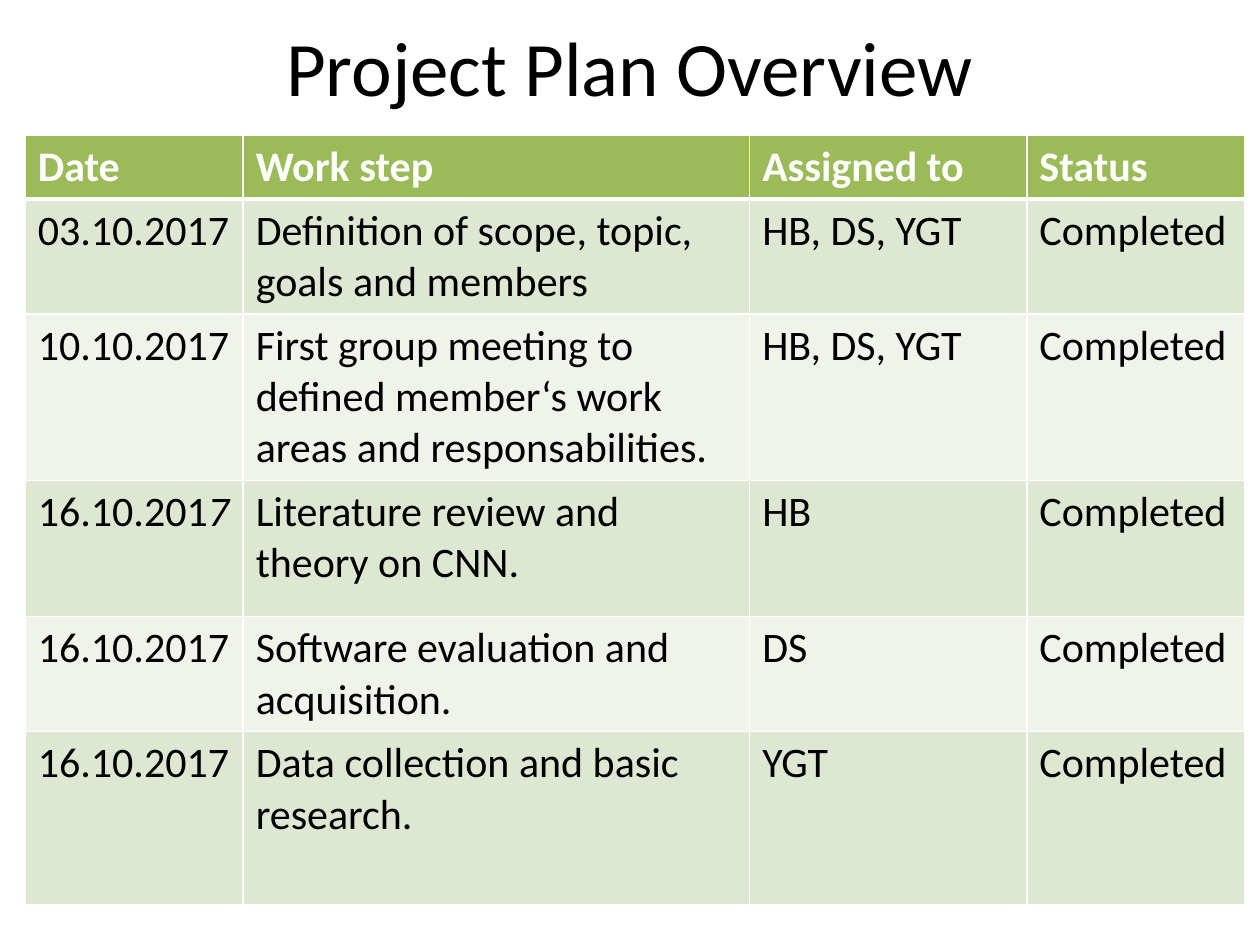
import pptx
import pptx.util
import pptx.dml.color
import pptx.enum.text
import pptx.oxml.ns
import lxml.etree

Pt = pptx.util.Pt
RGB = pptx.dml.color.RGBColor.from_string

THEME = {
    "font": "Calibri", "title_size": 44, "table_size": 24,
    "text": "000000", "white": "FFFFFF",
    "header": "9BBB59", "bands": ("DEE7D1", "EFF3EA"),
}


def add_text(p, text, size=THEME["table_size"], color=THEME["text"], bold=False, italic=False):
    r = p.add_run()
    r.text = text
    r.font.name = THEME["font"]
    r.font.size = Pt(size)
    r.font.bold = bold
    r.font.italic = italic
    r.font.color.rgb = RGB(color)


def set_border(cell, side, width):
    qn = pptx.oxml.ns.qn
    ln = lxml.etree.SubElement(cell._tc.get_or_add_tcPr(), qn(f"a:{side}"), w=str(Pt(width)))
    fill = lxml.etree.SubElement(ln, qn("a:solidFill"))
    lxml.etree.SubElement(fill, qn("a:srgbClr"), val=THEME["white"])


prs = pptx.Presentation()
prs.slide_width, prs.slide_height = Pt(720), Pt(540)
s = prs.slides.add_slide(prs.slide_layouts[5])

# Title
title = s.shapes.title
title.left, title.top, title.width, title.height = Pt(36), Pt(3.6), Pt(648), Pt(67.7)
tf = title.text_frame
tf.word_wrap = True
tf.vertical_anchor = pptx.enum.text.MSO_ANCHOR.MIDDLE
p = tf.paragraphs[0]
p.alignment = pptx.enum.text.PP_ALIGN.CENTER
add_text(p, "Project Plan Overview", size=THEME["title_size"])

# Plan: date, work step, assigned to, status
done = "Completed"
rows = [
    ("Date", "Work step", "Assigned to", "Status"),
    ("03.10.2017", "Definition of scope, topic, goals and members", "HB, DS, YGT", done),
    ("10.10.2017", "First group meeting to defined member‘s work areas and responsabilities.",
     "HB, DS, YGT", done),
    ("16.10.2017", "Literature review and theory on CNN.", "HB", done),
    ("16.10.2017", "Software evaluation and acquisition.", "DS", done),
    ("16.10.2017", "Data collection and basic research.", "YGT", done),
]
col_widths = (124.6, 289.4, 158.4, 124.6)
row_heights = (30.2, 61.2, 87.8, 77.8, 61.2, 98.6)
italic_end = (3, 0)  # the last digit of this date is italic

# Table
table = s.shapes.add_table(len(rows), len(col_widths), Pt(14.4), Pt(77.2), Pt(697.7), Pt(435.6)).table
for col, width in zip(table.columns, col_widths):
    col.width = Pt(width)
for row, height in zip(table.rows, row_heights):
    row.height = Pt(height)

for i, row in enumerate(rows):
    header = i == 0
    for j, text in enumerate(row):
        cell = table.cell(i, j)
        # Borders come before the fill in the cell's XML
        for side in ("lnL", "lnR", "lnT", "lnB"):
            thick = (header and side == "lnB") or (i == 1 and side == "lnT")
            set_border(cell, side, 3 if thick else 1)
        cell.fill.solid()
        cell.fill.fore_color.rgb = RGB(THEME["header"] if header else THEME["bands"][(i - 1) % 2])
        p = cell.text_frame.paragraphs[0]
        if (i, j) == italic_end:
            add_text(p, text[:-1])
            add_text(p, text[-1], italic=True)
        else:
            add_text(p, text, color=THEME["white" if header else "text"], bold=header)

prs.save("out.pptx")
